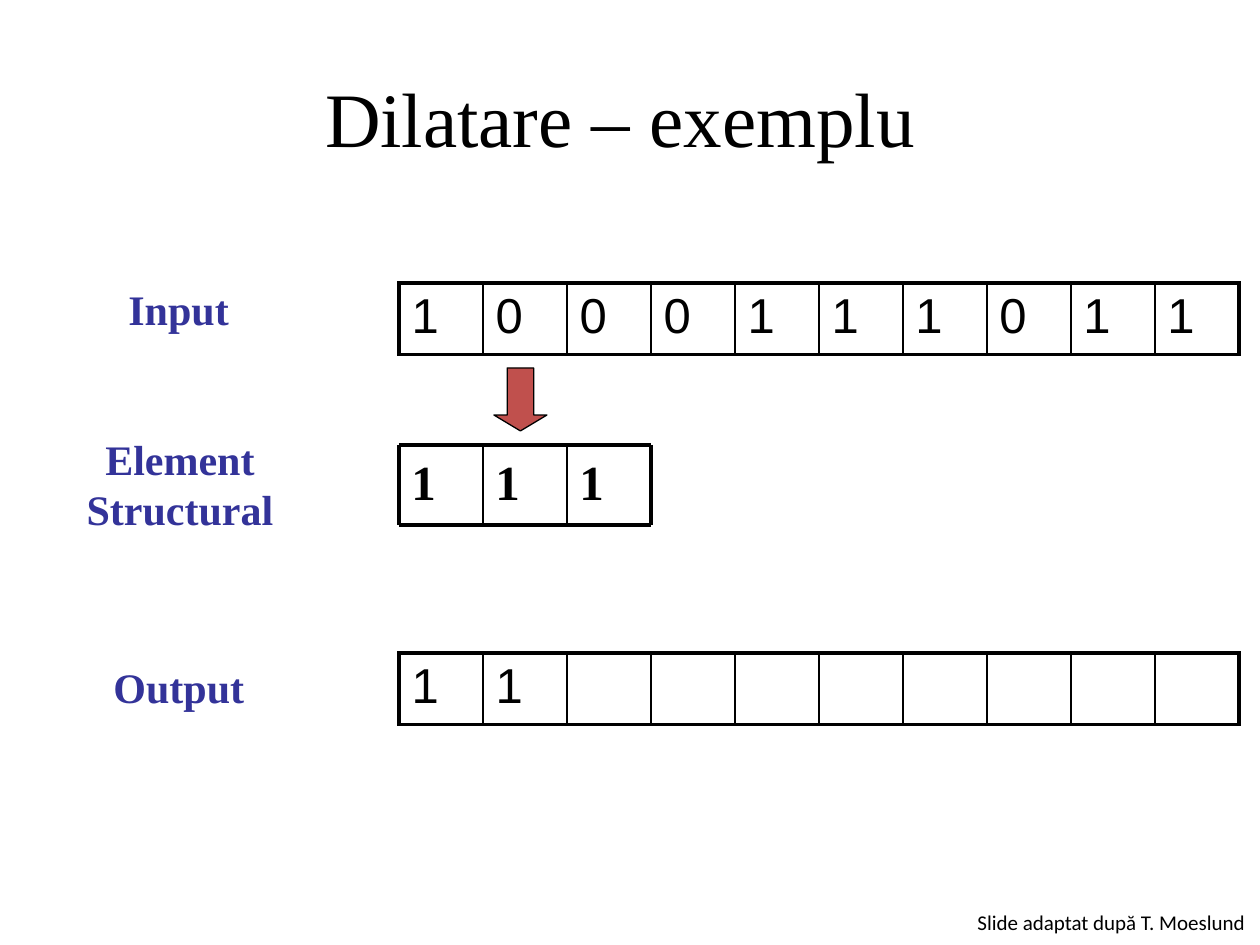
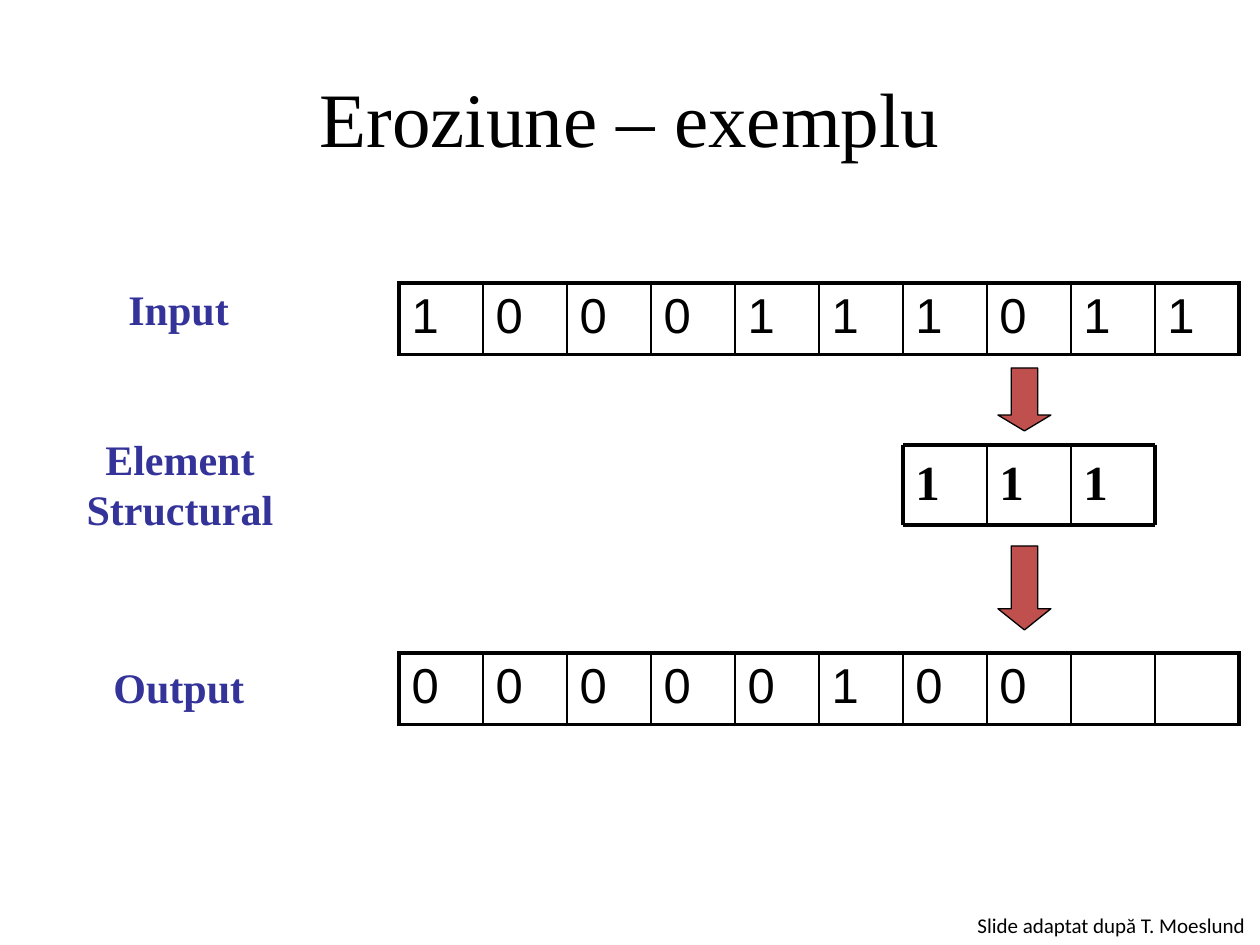
import pptx
import pptx.util
import pptx.dml.color
import pptx.enum.dml
import pptx.enum.shapes
import pptx.enum.text
import pptx.oxml.ns
from lxml import etree

# Content: arrows are (top, height, head ratio); "start" is the element's first column
INPUT_BITS = "1000111011"
ELEMENT_BITS = "111"
SLIDES = [
    {"title": "Dilatare – exemplu ", "output": "11", "start": 0,
     "arrows": [(368, 63, 0.3)], "footer_top": 903},
    {"title": "Eroziune – exemplu", "output": "00000100", "start": 6,
     "arrows": [(546, 84, 0.4), (368, 63, 0.3)], "footer_top": 906},
]
LABELS = [
    (["Input"], (116, 277, 127, 63)),
    (["Element", "Structural"], (73, 427, 214, 115)),
    (["Output"], (101, 655, 157, 63)),
]
FOOTER = "Slide adaptat după T. Moeslund"

# Shared style and grid
COLORS = {"ink": "000000", "label": "333399", "arrow": "C0504D"}
SERIF, SANS, SMALL = "Times New Roman", "Arial", "Calibri"
THICK, THIN = 2.25, 1
PX = 914400 // 126
GRID_LEFT, CELL = 399, 84
INPUT_TOP, OUTPUT_TOP, ROW_HEIGHT = 283, 653, 70
ELEMENT_TOP, ELEMENT_HEIGHT = 445, 80
ARROW_WIDTH, ARROW_INSET = 53, 11
CENTER = pptx.enum.text.PP_ALIGN.CENTER


def px(*lengths):
    return [pptx.util.Emu(length * PX) for length in lengths]


def rgb(name):
    return pptx.dml.color.RGBColor.from_string(COLORS[name])


def style(para, font_name, size, color="ink", bold=False, align=None):
    para.font.name = font_name
    para.font.size = pptx.util.Pt(size)
    para.font.bold = bold
    para.font.color.rgb = rgb(color)
    para.alignment = align


def add_text(page, lines, place, font_name, size, wrap=True, anchor=None, **look):
    box = page.shapes.add_textbox(*px(*place))
    frame = box.text_frame
    frame.word_wrap = wrap
    frame.vertical_anchor = anchor
    if not wrap:
        frame.auto_size = pptx.enum.text.MSO_AUTO_SIZE.SHAPE_TO_FIT_TEXT
    frame.text = "\n".join(lines)
    for para in frame.paragraphs:
        style(para, font_name, size, **look)


def set_borders(cell, widths):
    properties = cell._tc.get_or_add_tcPr()
    for position, (side, width) in enumerate(widths.items()):
        line = etree.Element(pptx.oxml.ns.qn("a:ln" + side),
                             w=str(int(pptx.util.Pt(width))))
        fill = etree.SubElement(line, pptx.oxml.ns.qn("a:solidFill"))
        etree.SubElement(fill, pptx.oxml.ns.qn("a:srgbClr"), val=COLORS["ink"])
        properties.insert(position, line)


def add_bit_row(page, bits, top):
    count = len(INPUT_BITS)
    frame = page.shapes.add_table(
        1, count, *px(GRID_LEFT, top, CELL * count, ROW_HEIGHT))
    table = frame.table
    table.first_row = table.horz_banding = False
    for column, bit in enumerate(bits.ljust(count)):
        cell = table.cell(0, column)
        cell.fill.background()
        cell.text = bit.strip()
        style(cell.text_frame.paragraphs[0], SANS, 28)
        set_borders(cell, {"L": THICK if column == 0 else THIN,
                           "R": THICK if column == count - 1 else THIN,
                           "T": THICK, "B": THICK})


def add_line(page, start, end, width):
    line = page.shapes.add_connector(
        pptx.enum.shapes.MSO_CONNECTOR.STRAIGHT, *px(*start, *end))
    line.line.color.rgb = rgb("ink")
    line.line.width = pptx.util.Pt(width)
    etree.SubElement(line._element.spPr, pptx.oxml.ns.qn("a:effectLst"))


def add_element(page, left):
    count = len(ELEMENT_BITS)
    right, bottom = left + CELL * count, ELEMENT_TOP + ELEMENT_HEIGHT
    for column, bit in enumerate(ELEMENT_BITS):
        place = (left + CELL * column, ELEMENT_TOP, CELL, ELEMENT_HEIGHT)
        add_text(page, [bit], place, SERIF, 28, bold=True)
    for y in (ELEMENT_TOP, bottom):
        add_line(page, (left, y), (right, y), THICK)
    for column in range(count + 1):
        x = left + CELL * column
        add_line(page, (x, ELEMENT_TOP), (x, bottom),
                 THICK if column in (0, count) else THIN)


def add_arrow(page, left, top, height, head):
    arrow = page.shapes.add_shape(pptx.enum.shapes.MSO_SHAPE.DOWN_ARROW,
                                  *px(left, top, ARROW_WIDTH, height))
    arrow.adjustments[0], arrow.adjustments[1] = 0.5, head
    arrow.shadow.inherit = False
    arrow.fill.solid()
    arrow.fill.fore_color.rgb = rgb("arrow")
    arrow.line.color.rgb = rgb("ink")
    arrow.line.width = pptx.util.Pt(0.75)


def build_page(deck, content):
    page = deck.slides.add_slide(deck.slide_layouts[6])
    add_text(page, [content["title"]], (63, 38, 1134, 157), SERIF, 44,
             anchor=pptx.enum.text.MSO_ANCHOR.MIDDLE, align=CENTER)

    # Bit rows and the structuring element, with arrows over its middle cell
    add_bit_row(page, INPUT_BITS, INPUT_TOP)
    add_bit_row(page, content["output"], OUTPUT_TOP)
    element_left = GRID_LEFT + CELL * content["start"]
    add_element(page, element_left)
    for arrow in content["arrows"]:
        add_arrow(page, element_left + CELL + ARROW_INSET, *arrow)

    # Row labels and footer
    for lines, place in LABELS:
        add_text(page, lines, place, SERIF, 24, wrap=False, color="label",
                 bold=True, align=CENTER if len(lines) > 1 else None)
    add_text(page, [FOOTER], (965, content["footer_top"], 299, 38), SMALL, 12,
             wrap=False)


def main():
    deck = pptx.Presentation()
    deck.slide_width, deck.slide_height = px(1260, 945)
    for content in SLIDES:
        build_page(deck, content)
    deck.save("out.pptx")


if __name__ == "__main__":
    main()
